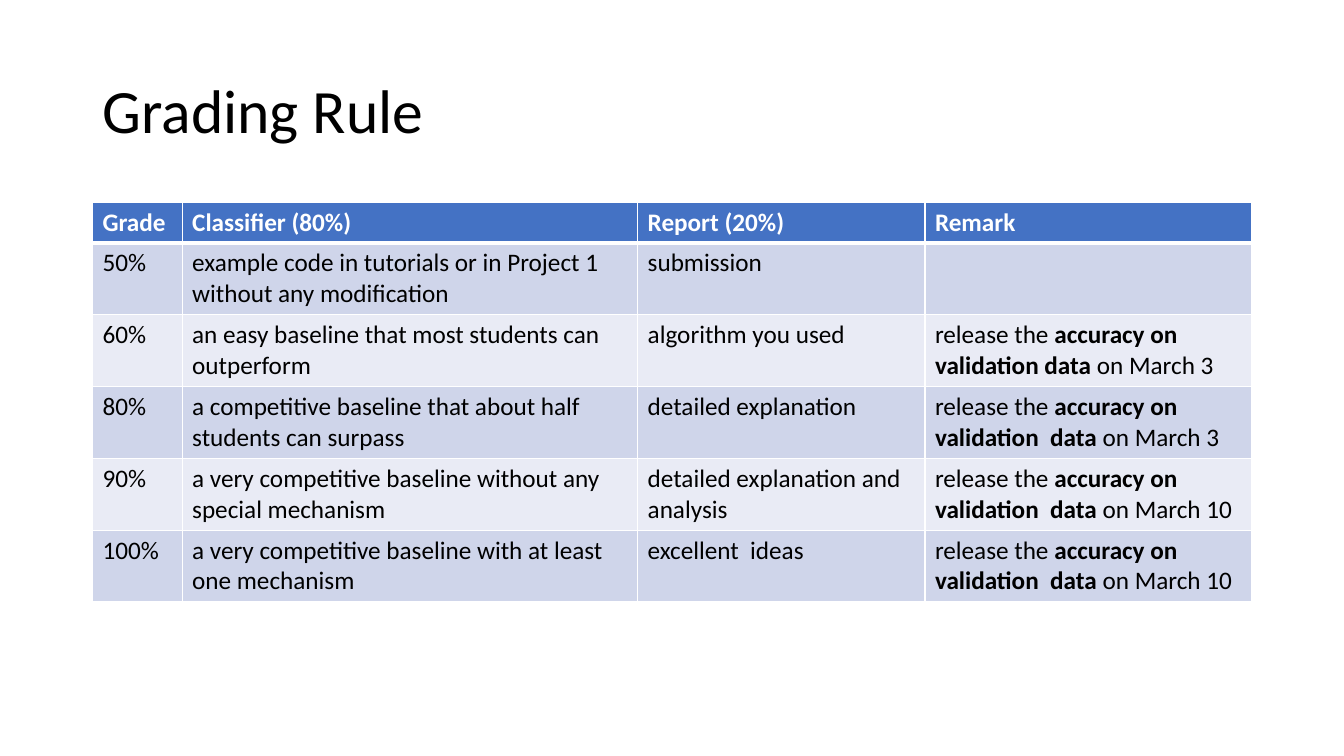
from lxml import etree
from pptx import Presentation
from pptx import util as u
from pptx.dml.color import RGBColor
from pptx.enum import text
from pptx.oxml import ns

FONT = "Calibri"
BLACK = RGBColor(0x00, 0x00, 0x00)
WHITE = RGBColor(0xFF, 0xFF, 0xFF)
HEADER_BLUE = RGBColor(0x44, 0x72, 0xC4)
BAND_DARK = RGBColor(0xCF, 0xD5, 0xEA)
BAND_LIGHT = RGBColor(0xE9, 0xEB, 0xF5)

LEFT, WIDTH = 2.33, 29.21
COLUMN_WIDTHS = [2.26, 11.48, 7.24, 8.23]
HEADER_HEIGHT, ROW_HEIGHT = 1.03, 1.81


def release(data, date):
    """Remark as (text, bold) runs."""
    return [("release the ", False), (f"accuracy on {data}", True), (f" on {date}", False)]


HEADINGS = ["Grade", "Classifier (80%)", "Report (20%)", "Remark"]
GRADES = [
    ("50%", "example code in tutorials or in Project 1 without any modification",
     "submission", []),
    ("60%", "an easy baseline that most students can outperform",
     "algorithm you used", release("validation data", "March 3")),
    ("80%", "a competitive baseline that about half students can surpass",
     "detailed explanation", release("validation  data", "March 3")),
    ("90%", "a very competitive baseline without any special mechanism",
     "detailed explanation and analysis", release("validation  data", "March 10")),
    ("100%", "a very competitive baseline with at least one mechanism",
     "excellent  ideas", release("validation  data", "March 10")),
]


def add_run(paragraph, words, size, color, bold=False):
    run = paragraph.add_run()
    run.text = words
    run.font.name = FONT
    run.font.size = u.Pt(size)
    run.font.bold = bold
    run.font.color.rgb = color


def set_borders(cell, bottom=1, top=1):
    """White cell borders, widths in points."""
    properties = cell._tc.get_or_add_tcPr()
    for side, points in (("L", 1), ("R", 1), ("T", top), ("B", bottom)):
        line = etree.SubElement(properties, ns.qn(f"a:ln{side}"), w=str(u.Pt(points)))
        fill = etree.SubElement(line, ns.qn("a:solidFill"))
        etree.SubElement(fill, ns.qn("a:srgbClr"), val=str(WHITE))


def place_title(slide, left, top, width, height):
    title = slide.shapes.title
    title.left, title.top = u.Cm(left), u.Cm(top)
    title.width, title.height = u.Cm(width), u.Cm(height)
    frame = title.text_frame
    frame.vertical_anchor = text.MSO_ANCHOR.MIDDLE
    paragraph = frame.paragraphs[0]
    paragraph.alignment = text.PP_ALIGN.LEFT
    paragraph.line_spacing = 0.9
    add_run(paragraph, "Grading Rule", 44, BLACK)


def place_grade_table(slide, left, top, width):
    rows = [HEADINGS, *GRADES]
    height = HEADER_HEIGHT + ROW_HEIGHT * len(GRADES)
    table = slide.shapes.add_table(len(rows), len(HEADINGS), u.Cm(left), u.Cm(top),
                                   u.Cm(width), u.Cm(height)).table
    for column, column_width in zip(table.columns, COLUMN_WIDTHS):
        column.width = u.Cm(column_width)

    for r, row in enumerate(rows):
        header = r == 0
        table.rows[r].height = u.Cm(HEADER_HEIGHT if header else ROW_HEIGHT)
        band = HEADER_BLUE if header else BAND_DARK if r % 2 else BAND_LIGHT
        for c, content in enumerate(row):
            cell = table.cell(r, c)
            set_borders(cell, bottom=3 if header else 1, top=3 if r == 1 else 1)
            cell.fill.solid()
            cell.fill.fore_color.rgb = band
            runs = [(content, header)] if isinstance(content, str) else content
            for words, bold in runs:
                add_run(cell.text_frame.paragraphs[0], words, 18,
                        WHITE if header else BLACK, bold)


def main():
    presentation = Presentation()
    presentation.slide_width, presentation.slide_height = u.Cm(33.87), u.Cm(19.05)
    # Title-only layout
    slide = presentation.slides.add_slide(presentation.slide_layouts[5])
    place_title(slide, LEFT, 1.01, WIDTH, 3.68)
    place_grade_table(slide, LEFT, 5.09, WIDTH)
    presentation.save("out.pptx")


if __name__ == "__main__":
    main()
